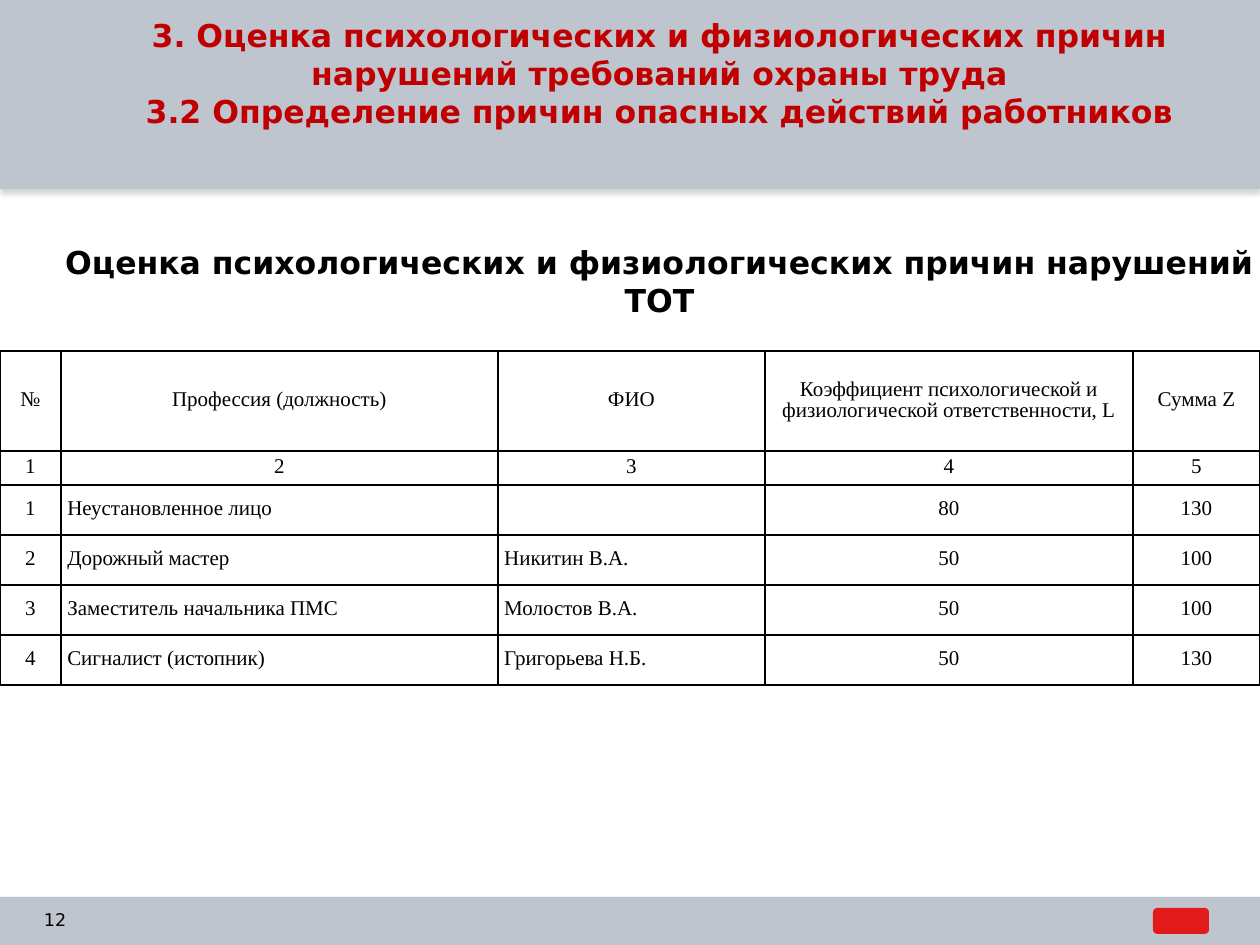
from lxml.etree import SubElement
from pptx import Presentation
from pptx.dml.color import RGBColor
from pptx.enum.shapes import MSO_SHAPE as Shape
from pptx.enum.text import MSO_ANCHOR as Anchor, MSO_AUTO_SIZE as AutoSize, PP_ALIGN as Align
from pptx.oxml import parse_xml
from pptx.oxml.ns import nsdecls, qn
from pptx.util import Inches, Pt

PX = Inches(1) / 126
GREY, RED, LOGO_RED, BLACK = "BFC5CE", "C00000", "E21A1A", "000000"


def px(*lengths):
    return [round(length * PX) for length in lengths]


def add_run(paragraph, text, font, size, color, bold=False):
    run = paragraph.add_run()
    run.text = text
    run.font.name = font
    run.font.size = Pt(size)
    run.font.bold = bold
    run.font.color.rgb = RGBColor.from_string(color)


presentation = Presentation()
presentation.slide_width, presentation.slide_height = px(1260, 945)
slide = presentation.slides.add_slide(presentation.slide_layouts[5])

for top, height in [(0, 189), (897, 48)]:
    bar = slide.shapes.add_shape(Shape.RECTANGLE, *px(0, top, 1260, height))
    bar.fill.solid()
    bar.fill.fore_color.rgb = RGBColor.from_string(GREY)
    bar.line.fill.background()
    bar.shadow.inherit = False
    effects = bar.element.spPr.find(qn("a:effectLst"))
    shadow = SubElement(effects, qn("a:outerShdw"), blurRad=str(Pt(3.1)),
                        dist=str(Pt(1.8)), dir="5400000", rotWithShape="0")
    shadow_color = SubElement(shadow, qn("a:srgbClr"), val="808080")
    SubElement(shadow_color, qn("a:alpha"), val="35000")

emblem = slide.shapes.add_shape(Shape.ROUNDED_RECTANGLE, *px(1153, 908, 56, 26))
emblem.fill.solid()
emblem.fill.fore_color.rgb = RGBColor.from_string(LOGO_RED)
emblem.line.fill.background()
emblem.shadow.inherit = False

page_number = slide.shapes.add_textbox(*px(44, 895, 48, 50))
title = slide.shapes.title
title.left, title.top, title.width, title.height = px(59, 16, 1201, 163)
title.element.getparent().append(title.element)
for shape, anchor in [(page_number, Anchor.MIDDLE), (title, Anchor.TOP)]:
    frame = shape.text_frame
    frame.word_wrap = True
    frame.auto_size = AutoSize.NONE
    frame.vertical_anchor = anchor
    frame.margin_left = frame.margin_top = frame.margin_right = frame.margin_bottom = 0
add_run(page_number.text_frame.paragraphs[0], "12", "DejaVu Sans", 10, BLACK)

headings = [
    ("3. Оценка психологических и физиологических причин нарушений требований охраны труда", RED, 0),
    ("3.2 Определение причин опасных действий работников", RED, 0),
    ("Оценка психологических и физиологических причин нарушений ТОТ", BLACK, 65),
]
for index, (text, color, gap) in enumerate(headings):
    frame = title.text_frame
    paragraph = frame.add_paragraph() if index else frame.paragraphs[0]
    paragraph.alignment = Align.CENTER
    paragraph.space_before = Pt(gap)
    add_run(paragraph, text, "DejaVu Sans", 18, color, True)

rows = [
    ["№", "Профессия (должность)", "ФИО",
     "Коэффициент психологической и физиологической ответственности, L", "Сумма Z"],
    ["1", "2", "3", "4", "5"],
    ["1", "Неустановленное лицо", "", "80", "130"],
    ["2", "Дорожный мастер", "Никитин В.А.", "50", "100"],
    ["3", "Заместитель начальника ПМС", "Молостов В.А.", "50", "100"],
    ["4", "Сигналист (истопник)", "Григорьева Н.Б.", "50", "130"],
]
column_widths = px(61, 437, 267, 368, 127)
row_heights = px(100, 34, 50, 50, 50, 50)
table = slide.shapes.add_table(len(rows), len(column_widths), *px(0, 351, 1260, 334)).table
table.first_row = table.horz_banding = False
for column, width in zip(table.columns, column_widths):
    column.width = width
for row, height in zip(table.rows, row_heights):
    row.height = height

for row_index, texts in enumerate(rows):
    for column_index, text in enumerate(texts):
        cell = table.cell(row_index, column_index)
        cell.fill.background()
        cell.vertical_anchor = Anchor.MIDDLE
        cell.margin_left = cell.margin_right = Inches(0.05)
        cell.margin_top = cell.margin_bottom = 0
        properties = cell._tc.get_or_add_tcPr()
        for position, side in enumerate("LRTB"):
            properties.insert(position, parse_xml(
                f'<a:ln{side} {nsdecls("a")} w="{Pt(1)}"><a:solidFill>'
                f'<a:srgbClr val="{BLACK}"/></a:solidFill></a:ln{side}>'))
        paragraph = cell.text_frame.paragraphs[0]
        is_name = row_index > 1 and column_index in (1, 2)
        paragraph.alignment = Align.LEFT if is_name else Align.CENTER
        paragraph.line_spacing = Pt(12)
        if text:
            add_run(paragraph, text, "Times New Roman", 12, BLACK)

presentation.save("out.pptx")
